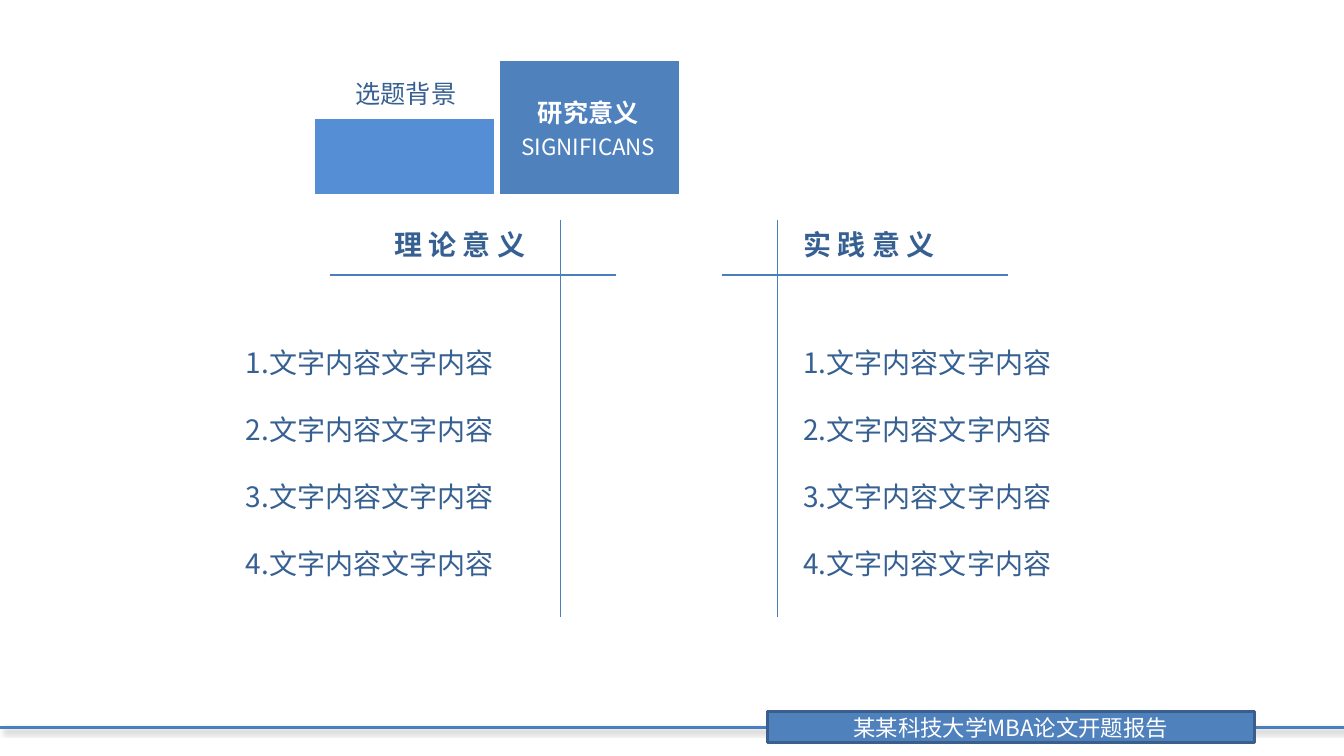
from lxml import etree
from pptx import Presentation
from pptx.dml.color import RGBColor
from pptx.enum.shapes import MSO_CONNECTOR, MSO_SHAPE
from pptx.enum.text import MSO_ANCHOR, MSO_AUTO_SIZE, PP_ALIGN
from pptx.oxml.ns import qn
from pptx.util import Inches, Pt

STRAIGHT = MSO_CONNECTOR.STRAIGHT
RECTANGLE = MSO_SHAPE.RECTANGLE
MIDDLE, BOTTOM = MSO_ANCHOR.MIDDLE, MSO_ANCHOR.BOTTOM
CENTER = PP_ALIGN.CENTER
GROW = MSO_AUTO_SIZE.SHAPE_TO_FIT_TEXT

FONT = "Noto Sans CJK SC"
WHITE, BLUE, LIGHT_BLUE = "FFFFFF", "4F81BD", "558ED5"
TEXT_BLUE, LINE_BLUE, EDGE_BLUE = "376092", "4B7EBC", "3A5F8C"
WIDTH, HEIGHT = 13.33, 7.5


def rgb(value):
    return RGBColor.from_string(value)


def style(p, size, color, bold=False):
    for r in p.runs:
        r.font.size = Pt(size)
        r.font.bold = bold
        r.font.name = FONT
        r.font.color.rgb = rgb(color)
        ea = etree.SubElement(r.font._element, qn("a:ea"))
        ea.set("typeface", FONT)


def add_line(shapes, x1, y1, x2, y2, width):
    """Draw a straight line and return its empty effect list."""
    line = shapes.add_connector(
        STRAIGHT, Inches(x1), Inches(y1), Inches(x2), Inches(y2))
    line.line.color.rgb = rgb(LINE_BLUE)
    line.line.width = Pt(width)
    return etree.SubElement(line._element.spPr, qn("a:effectLst"))


def add_text(s, left, top, width, height, lines, bold=False, wrap=True, spacing=None):
    box = s.shapes.add_textbox(
        Inches(left), Inches(top), Inches(width), Inches(height))
    tf = box.text_frame
    tf.text = "\n".join(lines)
    tf.word_wrap = wrap
    tf.auto_size = GROW
    for p in tf.paragraphs:
        p.line_spacing = spacing
        style(p, 20, TEXT_BLUE, bold)


def add_footer(s, top, height):
    """Shadowed rule across the slide with the report title on it."""
    middle = top + height / 2
    effects = add_line(s.shapes, 0, middle, WIDTH, middle, 2)
    shadow = etree.SubElement(
        effects, qn("a:outerShdw"), blurRad=str(Pt(4)), dist=str(Pt(3)),
        dir=str(45 * 60000), algn="tl", rotWithShape="0")
    color = etree.SubElement(shadow, qn("a:srgbClr"), val="000000")
    etree.SubElement(color, qn("a:alpha"), val="40000")

    sp = s.shapes.add_shape(
        RECTANGLE, Inches(7.61), Inches(top), Inches(4.83), Inches(height))
    sp.shadow.inherit = False
    sp.fill.solid()
    sp.fill.fore_color.rgb = rgb(BLUE)
    sp.line.color.rgb = rgb(EDGE_BLUE)
    sp.line.width = Pt(2)
    tf = sp.text_frame
    tf.text = "某某科技大学MBA论文开题报告"
    tf.vertical_anchor = MIDDLE
    tf.paragraphs[0].alignment = CENTER
    style(tf.paragraphs[0], 16, WHITE)


def set_cell(cell, borders, fill=None, anchor=MIDDLE):
    """Give a cell white borders on the named sides, then its fill."""
    tc_pr = cell._tc.get_or_add_tcPr()
    for side in borders:
        ln = etree.SubElement(tc_pr, qn("a:ln" + side), w=str(Pt(4.5)))
        solid = etree.SubElement(ln, qn("a:solidFill"))
        etree.SubElement(solid, qn("a:srgbClr"), val=WHITE)
    if fill:
        cell.fill.solid()
        cell.fill.fore_color.rgb = rgb(fill)
    else:
        cell.fill.background()
    cell.vertical_anchor = anchor
    for p in cell.text_frame.paragraphs:
        p.alignment = CENTER


def add_tabs(s, left, top, width, row_heights):
    """Section tabs: the earlier section, and the current one highlighted."""
    table = s.shapes.add_table(
        2, 2, Inches(left), Inches(top), Inches(width),
        Inches(sum(row_heights))).table
    table.first_row = table.horz_banding = False
    for column in table.columns:
        column.width = Inches(width / 2)
    for row, height in zip(table.rows, row_heights):
        row.height = Inches(height)

    earlier, current, block = table.cell(0, 0), table.cell(0, 1), table.cell(1, 0)
    current.merge(table.cell(1, 1))
    earlier.text_frame.text = "选题背景"
    current.text_frame.text = "研究意义\nSIGNIFICANS"
    set_cell(earlier, "RB", anchor=BOTTOM)
    set_cell(current, "L", BLUE)
    set_cell(block, "RT", LIGHT_BLUE)
    style(earlier.text_frame.paragraphs[0], 18, TEXT_BLUE)
    heading, subtitle = current.text_frame.paragraphs
    style(heading, 18, WHITE, bold=True)
    style(subtitle, 16, WHITE)


def add_column(s, rule_left, top, axis, title, title_left, list_left):
    """A titled list beside a vertical axis crossed by a rule."""
    cross = s.shapes.add_group_shape().shapes
    rule_y = top + 0.55
    add_line(cross, rule_left, rule_y, rule_left + 2.84, rule_y, 1)
    add_line(cross, axis, top, axis, top + 3.94, 1)
    add_text(s, title_left, top + 0.03, 1.58, 0.44, [title], bold=True, wrap=False)
    items = [f"{n}.文字内容文字内容" for n in range(1, 5)]
    add_text(s, list_left, top + 0.86, 3.05, 2.79, items, spacing=2.0)


def main():
    prs = Presentation()
    prs.slide_width, prs.slide_height = Inches(WIDTH), Inches(HEIGHT)
    s = prs.slides.add_slide(prs.slide_layouts[6])
    add_footer(s, 7.06, 0.31)
    add_tabs(s, 3.12, 0.6, 3.62, [0.55, 0.78])
    add_column(s, 3.27, 2.18, 5.56, "理 论 意 义", 3.81, 2.34)
    add_column(s, 7.16, 2.18, 7.71, "实 践 意 义", 7.87, 7.87)
    prs.save("out.pptx")


if __name__ == "__main__":
    main()
